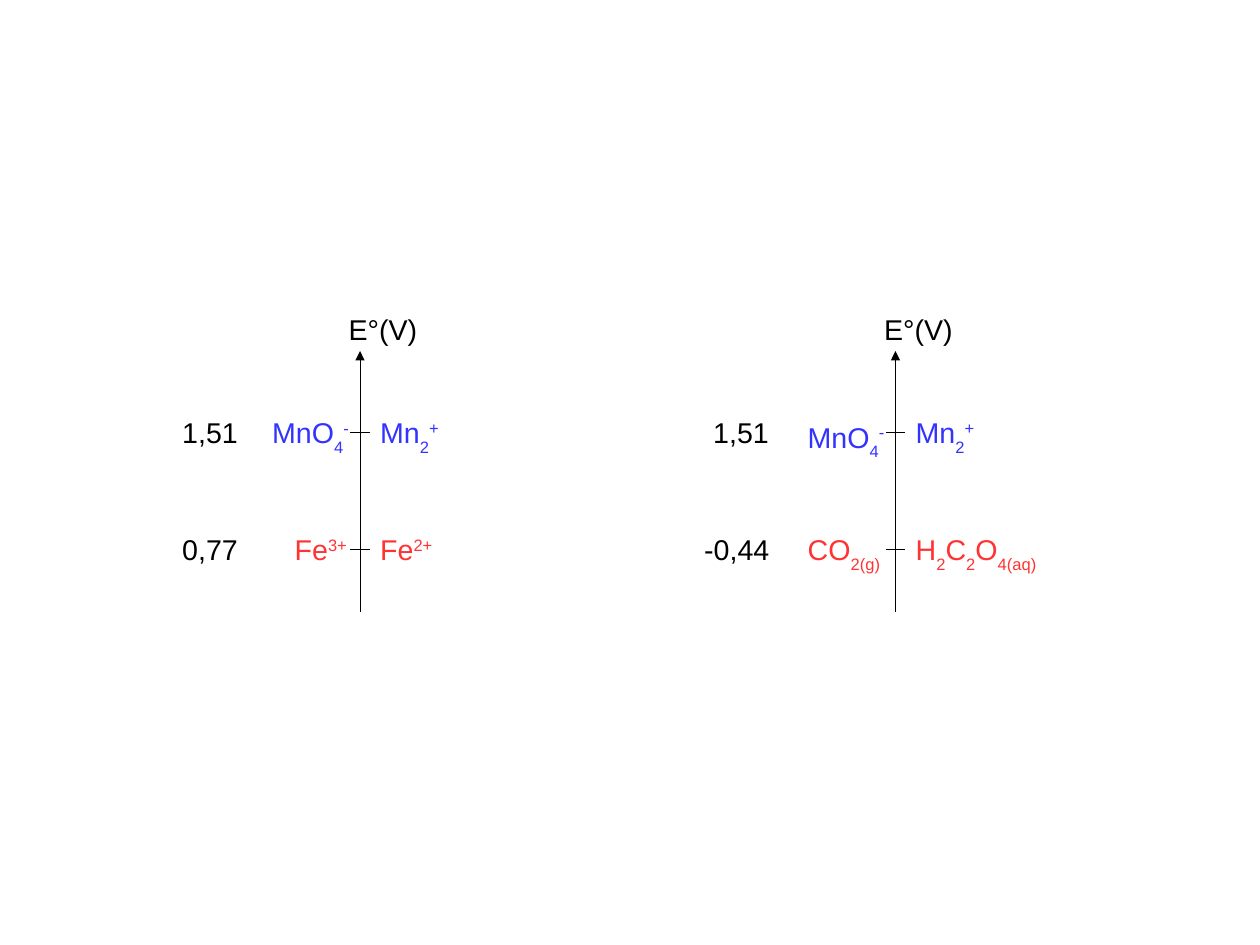
from pptx import Presentation
from pptx.dml.color import RGBColor
from pptx.enum.shapes import MSO_CONNECTOR
from pptx.enum.text import MSO_ANCHOR, MSO_AUTO_SIZE
from pptx.oxml.ns import qn
from pptx.util import Pt
from lxml.etree import SubElement

EMU_PER_PX = 36000  # the layout grid is one millimetre
BLACK = RGBColor(0x00, 0x00, 0x00)
BLUE = RGBColor(0x33, 0x33, 0xFF)
RED = RGBColor(0xFF, 0x33, 0x33)
BASELINES = {"_": "-33000", "^": "33000"}


def px(*lengths):
    return [length * EMU_PER_PX for length in lengths]


class RedoxSlide:
    font_name = "Arial"
    font_size = Pt(18)

    def __init__(self, presentation):
        self.slide = presentation.slides.add_slide(presentation.slide_layouts[6])

    def line(self, x1, y1, x2, y2, arrow=False):
        connector = self.slide.shapes.add_connector(
            MSO_CONNECTOR.STRAIGHT, *px(x1, y1, x2, y2))
        connector.line.color.rgb = BLACK
        outline = connector.line._get_or_add_ln()
        outline.set("w", "0")  # hairline
        if arrow:
            SubElement(outline, qn("a:tailEnd"), type="triangle")
        SubElement(connector._element.spPr, qn("a:effectLst"))

    def label(self, left, top, width, height, parts, color=BLACK):
        """Parts that start with _ are set below the line, with ^ above it."""
        frame = self.slide.shapes.add_textbox(*px(left, top, width, height)).text_frame
        frame.word_wrap = True
        frame.auto_size = MSO_AUTO_SIZE.SHAPE_TO_FIT_TEXT
        frame.vertical_anchor = MSO_ANCHOR.TOP
        paragraph = frame.paragraphs[0]
        paragraph.font.name = self.font_name
        paragraph.font.size = self.font_size
        paragraph.font.color.rgb = color
        for part in parts:
            run = paragraph.add_run()
            run.text = part.lstrip("_^")
            if part[0] in BASELINES:
                run._r.get_or_add_rPr().set("baseline", BASELINES[part[0]])


MANGANESE_ROW, LOWER_ROW = 96, 122
PERMANGANATE = ["MnO", "_4", "^-"]
MANGANESE_ION = ["Mn", "_2", "^+"]

# Axis x, then per couple: row, colour, potential, oxidant, reductant;
# each label is (offset from axis, top, width, parts)
SCALES = [
    (80, [
        (MANGANESE_ROW, BLUE, (-42, 91, 18, ["1,51"]),
         (-22, 91, 24, PERMANGANATE), (2, 91, 22, MANGANESE_ION)),
        (LOWER_ROW, RED, (-42, 117, 18, ["0,77"]),
         (-17, 117, 17, ["Fe", "^3+"]), (2, 117, 18, ["Fe", "^2+"])),
    ]),
    (199, [
        (MANGANESE_ROW, BLUE, (-43, 91, 18, ["1,51"]),
         (-22, 92, 24, PERMANGANATE), (2, 91, 21, MANGANESE_ION)),
        (LOWER_ROW, RED, (-45, 117, 20, ["-0,44"]),
         (-22, 117, 26, ["CO", "_2(g)"]),
         (2, 117, 36, ["H", "_2", "C", "_2", "O", "_4(aq)"])),
    ]),
]


def main():
    presentation = Presentation()
    presentation.slide_width, presentation.slide_height = px(280, 210)
    redox = RedoxSlide(presentation)

    for axis, couples in SCALES:
        # Potential axis with its title
        redox.line(axis, 136, axis, 78, arrow=True)
        redox.label(axis - 5, 68, 22, 10, ["E°(V)"])

        # Redox couples at their standard potentials
        for row, color, potential, oxidant, reductant in couples:
            redox.line(axis - 2, row, axis + 2, row)
            for (offset, top, width, parts), ink in (
                    (potential, BLACK), (oxidant, color), (reductant, color)):
                height = 10 if ink == BLACK else 11
                redox.label(axis + offset, top, width, height, parts, ink)

    presentation.save("out.pptx")


if __name__ == "__main__":
    main()
